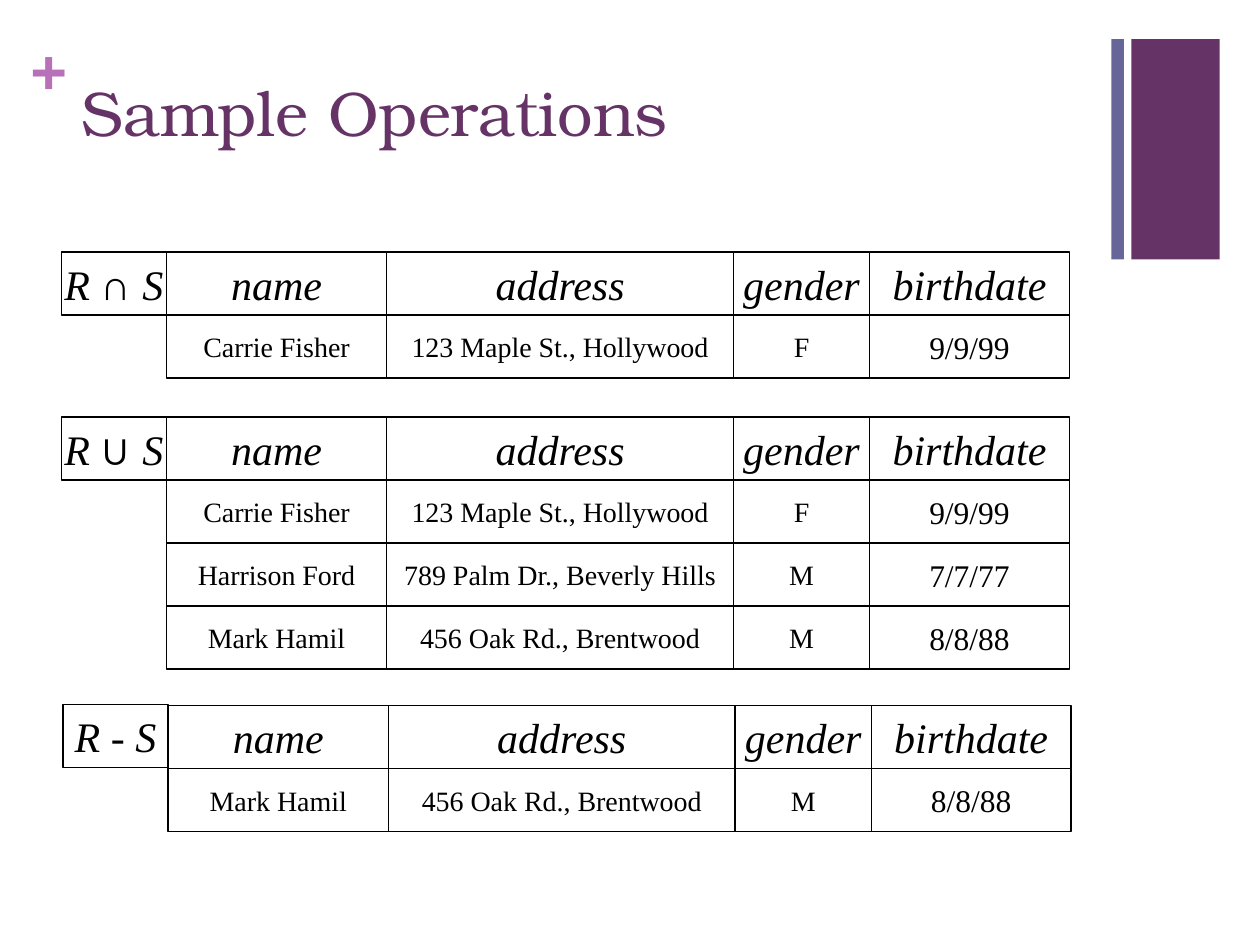
from pptx import Presentation
from pptx.dml.color import RGBColor
from pptx.enum.shapes import MSO_SHAPE
from pptx.enum.text import MSO_ANCHOR, MSO_AUTO_SIZE, PP_ALIGN
from pptx.util import Inches, Pt

TITLE = "Sample Operations"
COLUMNS = ["name", "address", "gender", "birthdate"]
FISHER = ["Carrie Fisher", "123 Maple St., Hollywood", "F", "9/9/99"]
FORD = ["Harrison Ford", "789 Palm Dr., Beverly Hills", "M", "7/7/77"]
HAMIL = ["Mark Hamil", "456 Oak Rd., Brentwood", "M", "8/8/88"]

# operator, operator font, relation left, relation top, label top, rows
OPERATIONS = [
    ("∩", "Arial", 1.32, 2, 2, [FISHER]),
    ("∪", "Arial", 1.32, 3.31, 3.31, [FISHER, FORD, HAMIL]),
    ("-", "Times New Roman", 4 / 3, 5.6, 5.59, [HAMIL]),
]
COLUMN_WIDTHS = [1.75, 2.75, 13 / 12, 19 / 12]
ROW_HEIGHT = 0.5
LABEL_WIDTH = 5 / 6
LINE_WIDTH = Pt(0.75)

BLACK = RGBColor(0, 0, 0)
PURPLE = RGBColor(0x66, 0x33, 0x66)
BLUE = RGBColor(0x66, 0x66, 0x99)
SERIF = "Times New Roman"
THEME = {
    "title": {"name": "TeX Gyre Bonum", "size": Pt(36), "color": PURPLE},
    "plus": {"name": "Arial", "size": Pt(36), "bold": True,
             "color": RGBColor(0xB8, 0x70, 0xB8)},
    "heading": {"name": SERIF, "size": Pt(24), "italic": True, "color": BLACK},
    "data": {"name": SERIF, "size": Pt(16), "color": BLACK},
    "date": {"name": SERIF, "size": Pt(18), "color": BLACK},
}
BARS = [((8.98, 0.31, 0.7, 1.75), PURPLE), ((8.82, 0.31, 0.1, 1.75), BLUE)]


def inches(*lengths):
    return [Inches(length) for length in lengths]


def add_span(para, text, style, **changes):
    span = para.add_run()
    span.text = text
    for key, value in {**style, **changes}.items():
        if key == "color":
            span.font.color.rgb = value
        else:
            setattr(span.font, key, value)


def add_rectangle(page, place):
    box = page.shapes.add_shape(MSO_SHAPE.RECTANGLE, *inches(*place))
    box.shadow.inherit = False
    return box


def add_cell(page, left, top, width):
    """Add an outlined, unfilled box and return its centred paragraph."""
    box = add_rectangle(page, (left, top, width, ROW_HEIGHT))
    box.fill.background()
    box.line.color.rgb = BLACK
    box.line.width = LINE_WIDTH
    frame = box.text_frame
    frame.word_wrap = False
    frame.vertical_anchor = MSO_ANCHOR.MIDDLE
    para = frame.paragraphs[0]
    para.alignment = PP_ALIGN.CENTER
    return para


def add_label(page, operator, font_name, left, top):
    para = add_cell(page, left, top, LABEL_WIDTH)
    add_span(para, "R ", THEME["heading"])
    add_span(para, f"{operator} ", THEME["heading"], name=font_name, italic=False)
    add_span(para, "S", THEME["heading"])


def add_relation(page, left, top, records):
    for row_index, row in enumerate([COLUMNS] + records):
        for column_index, text in enumerate(row):
            if row_index == 0:
                style = "heading"
            else:
                style = "date" if COLUMNS[column_index] == "birthdate" else "data"
            para = add_cell(page, left + sum(COLUMN_WIDTHS[:column_index]),
                            top + row_index * ROW_HEIGHT,
                            COLUMN_WIDTHS[column_index])
            add_span(para, text, THEME[style])


def add_title(page):
    title = page.shapes.title
    title.left, title.top, title.width, title.height = inches(0.55, 0.53, 8.26, 1.22)
    frame = title.text_frame
    frame.auto_size = MSO_AUTO_SIZE.NONE
    frame.vertical_anchor = MSO_ANCHOR.TOP
    para = frame.paragraphs[0]
    para.alignment = PP_ALIGN.LEFT
    add_span(para, TITLE, THEME["title"])


def add_decoration(page):
    for place, color in BARS:
        bar = add_rectangle(page, place)
        bar.fill.solid()
        bar.fill.fore_color.rgb = color
        bar.line.fill.background()
    frame = page.shapes.add_textbox(*inches(0.24, 0.25, 0.28, 0.6)).text_frame
    for side in ("left", "right", "top", "bottom"):
        setattr(frame, f"margin_{side}", 0)
    frame.word_wrap = True
    add_span(frame.paragraphs[0], "+", THEME["plus"])


def main():
    deck = Presentation()
    deck.slide_width, deck.slide_height = inches(10, 7.5)
    page = deck.slides.add_slide(deck.slide_layouts[5])
    add_decoration(page)
    add_title(page)
    for operator, font_name, left, top, label_top, records in OPERATIONS:
        add_relation(page, left, top, records)
        add_label(page, operator, font_name, left - LABEL_WIDTH, label_top)
    deck.save("out.pptx")


if __name__ == "__main__":
    main()
